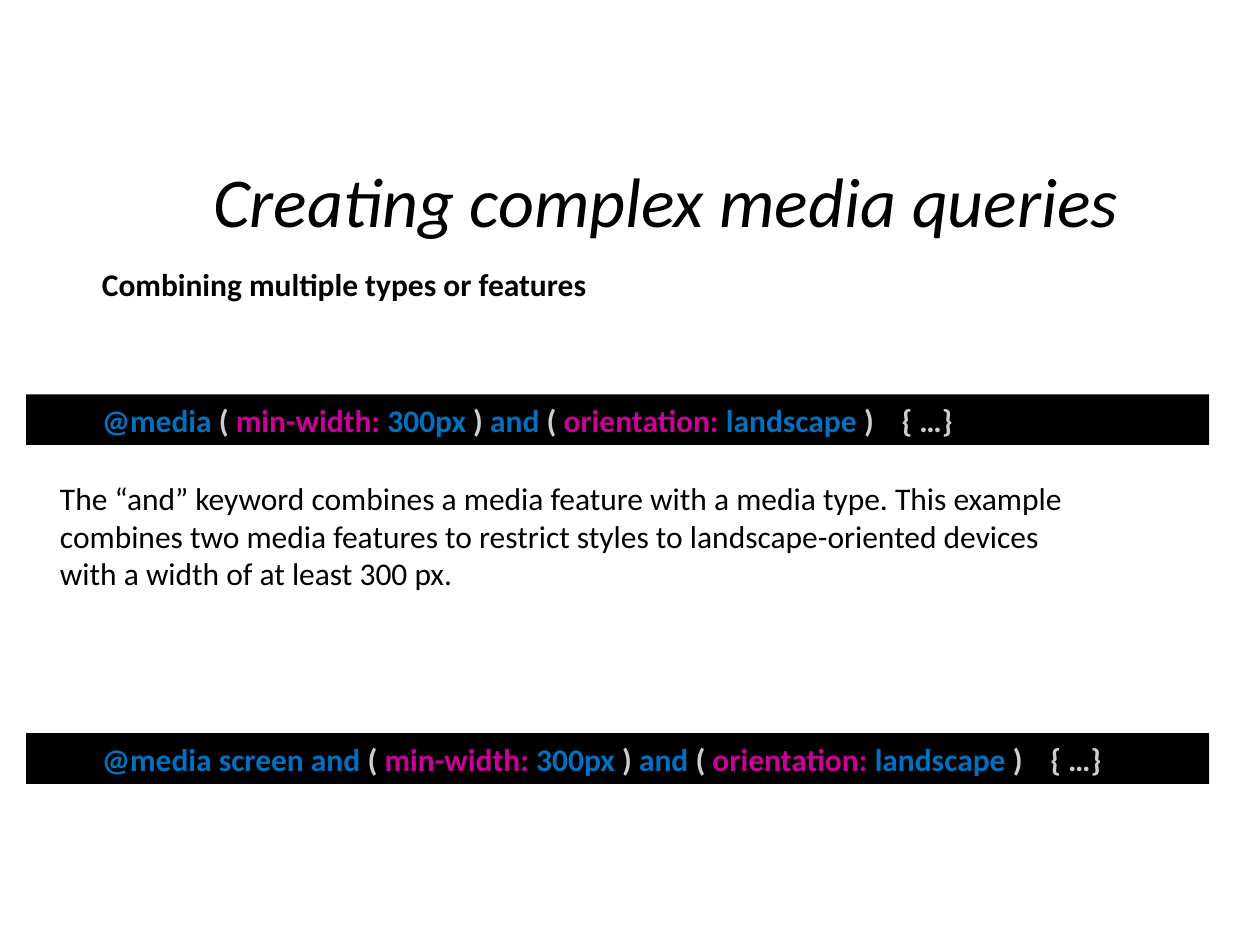
from lxml import etree
from pptx import Presentation
from pptx import util as u
from pptx.dml.color import RGBColor
from pptx.enum import shapes, text
from pptx.oxml.ns import qn

COLOURS = {
    "black": "000000",
    "white": "FFFFFF",
    "keyword": "0070C0",
    "feature": "CC0099",
    "bracket": "CDD0D1",
}
BAND_LEFT, BAND_HEIGHT, CODE_WIDTH = 15, 29, 676


class Slide:
    font = "Calibri"
    body_size = 18
    indent = 43.2

    def __init__(self, page):
        self.page = page

    def colour(self, name):
        return RGBColor.from_string(COLOURS[name])

    def set_font(self, paragraph, size, bold=False, italic=False):
        font = paragraph.font
        font.name, font.size = self.font, u.Pt(size)
        font.bold, font.italic = bold, italic
        font.color.rgb = self.colour("black")

    def text_box(self, left, top, width, height, words, size=body_size,
                 italic=False, align=text.PP_ALIGN.LEFT,
                 anchor=text.MSO_ANCHOR.TOP):
        box = self.page.shapes.add_textbox(
            u.Pt(left), u.Pt(top), u.Pt(width), u.Pt(height))
        frame = box.text_frame
        frame.word_wrap = True
        frame.vertical_anchor = anchor
        paragraph = frame.paragraphs[0]
        paragraph.text = words
        paragraph.alignment = align
        self.set_font(paragraph, size, italic=italic)

    def band(self, top, width, fill):
        """Draw a filled strip and return its bold, indented paragraph."""
        box = self.page.shapes.add_shape(
            shapes.MSO_SHAPE.RECTANGLE,
            u.Pt(BAND_LEFT), u.Pt(top), u.Pt(width), u.Pt(BAND_HEIGHT))
        box.shadow.inherit = False
        box.fill.solid()
        box.fill.fore_color.rgb = self.colour(fill)
        box.line.fill.background()
        frame = box.text_frame
        frame.word_wrap = True
        frame.auto_size = text.MSO_AUTO_SIZE.SHAPE_TO_FIT_TEXT
        frame.margin_left = u.Pt(self.indent)
        paragraph = frame.paragraphs[0]
        paragraph.alignment = text.PP_ALIGN.LEFT
        self.set_font(paragraph, self.body_size, bold=True)
        return paragraph

    def heading(self, top, width, words):
        self.band(top, width, "white").text = words

    def code(self, top, spans, tab):
        """Draw a line of coloured code, with a tab stop before its block."""
        paragraph = self.band(top, CODE_WIDTH, "black")
        for words, colour in spans:
            span = paragraph.add_run()
            span.text = words
            span.font.color.rgb = self.colour(colour)
        stops = etree.Element(qn("a:tabLst"))
        etree.SubElement(stops, qn("a:tab"), pos=str(u.Pt(tab)), algn="l")
        paragraph.font  # the tab list must precede the default run style
        paragraph._p.pPr.insert(0, stops)


def main():
    deck = Presentation()
    deck.slide_width, deck.slide_height = u.Pt(720), u.Pt(540)
    slide = Slide(deck.slides.add_slide(deck.slide_layouts[6]))

    # Title and subheading
    slide.text_box(77, 36, 607, 156, "Creating complex media queries",
                   size=40, italic=True, align=text.PP_ALIGN.CENTER,
                   anchor=text.MSO_ANCHOR.MIDDLE)
    slide.heading(147.6, 345, "Combining multiple types or features")

    # Both queries share the same conditions
    conditions = [
        ("( ", "bracket"), ("min-width: ", "feature"), ("300px", "keyword"),
        (" ) ", "bracket"), ("and ", "keyword"),
        ("( ", "bracket"), ("orientation: ", "feature"),
        ("landscape ", "keyword"), (")\t{ …}", "bracket"),
    ]
    slide.code(225.3, [("@media ", "keyword")] + conditions, tab=457)

    # Explanation
    slide.text_box(
        27.2, 270, 606, 72.7,
        "The “and” keyword combines a media feature with a media type. "
        "This example combines two media features to restrict styles to "
        "landscape-oriented devices with a width of at least 300 px.")

    # Query with a media type
    slide.code(419, [("@media screen and ", "keyword")] + conditions, tab=542)

    deck.save("out.pptx")


if __name__ == "__main__":
    main()
